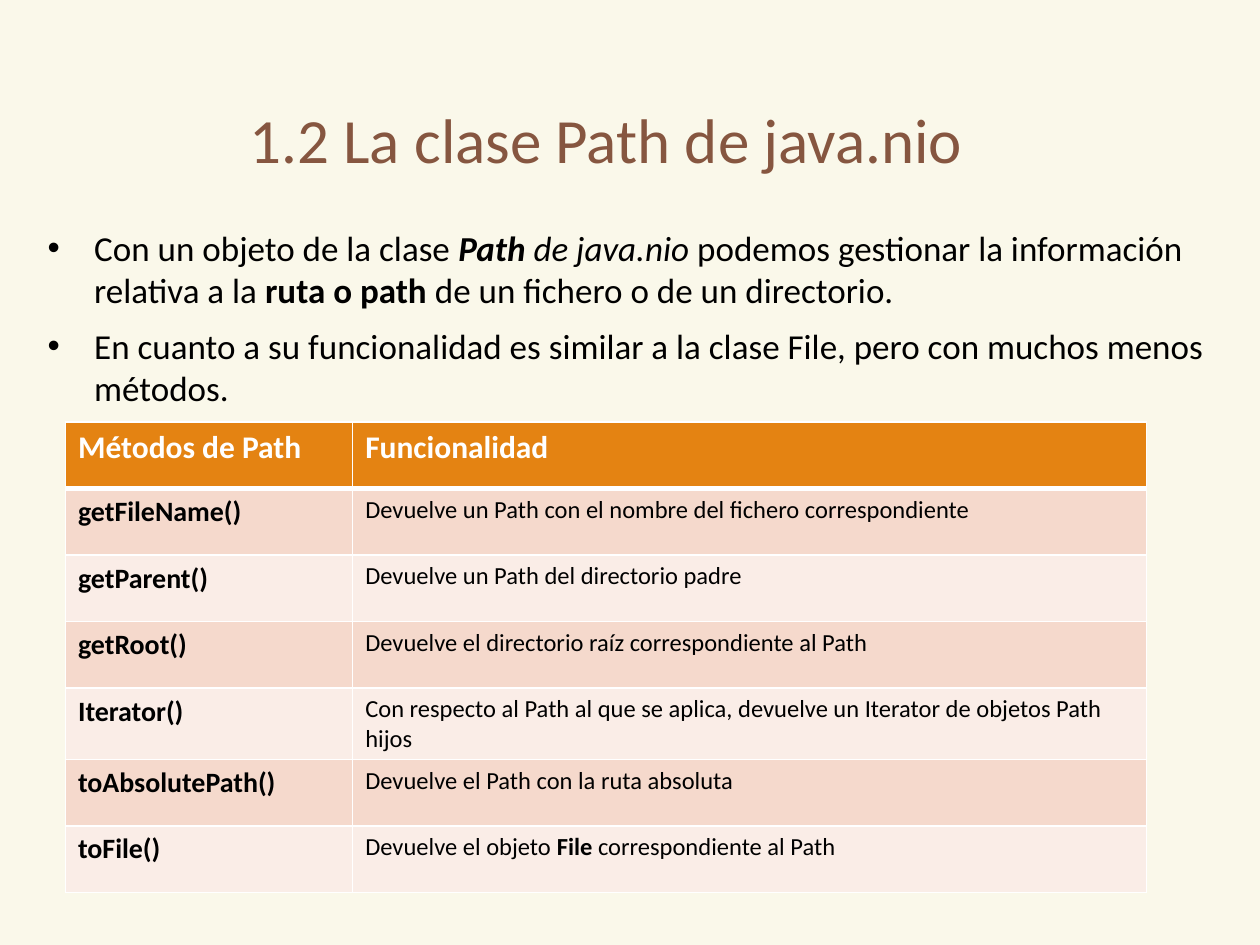
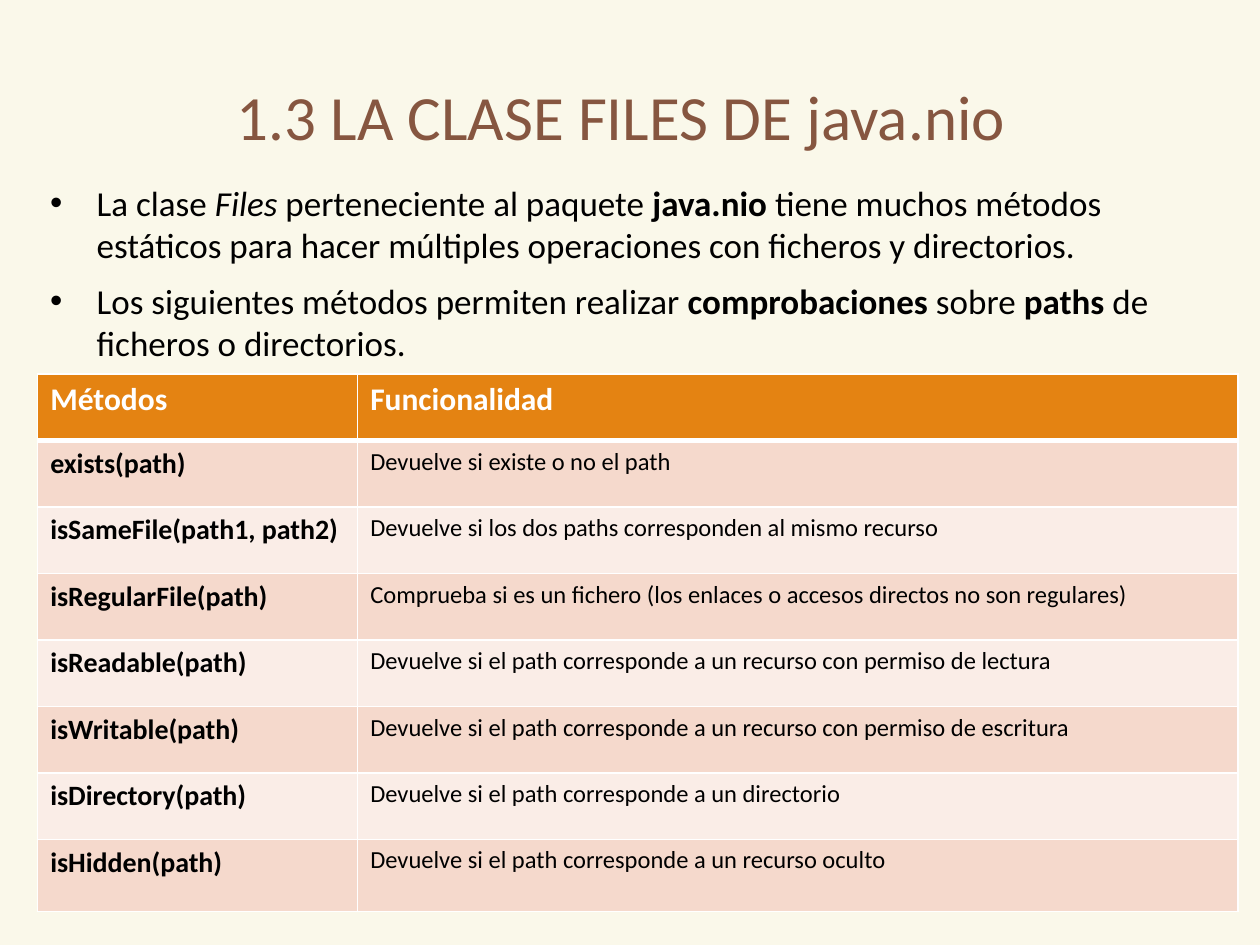
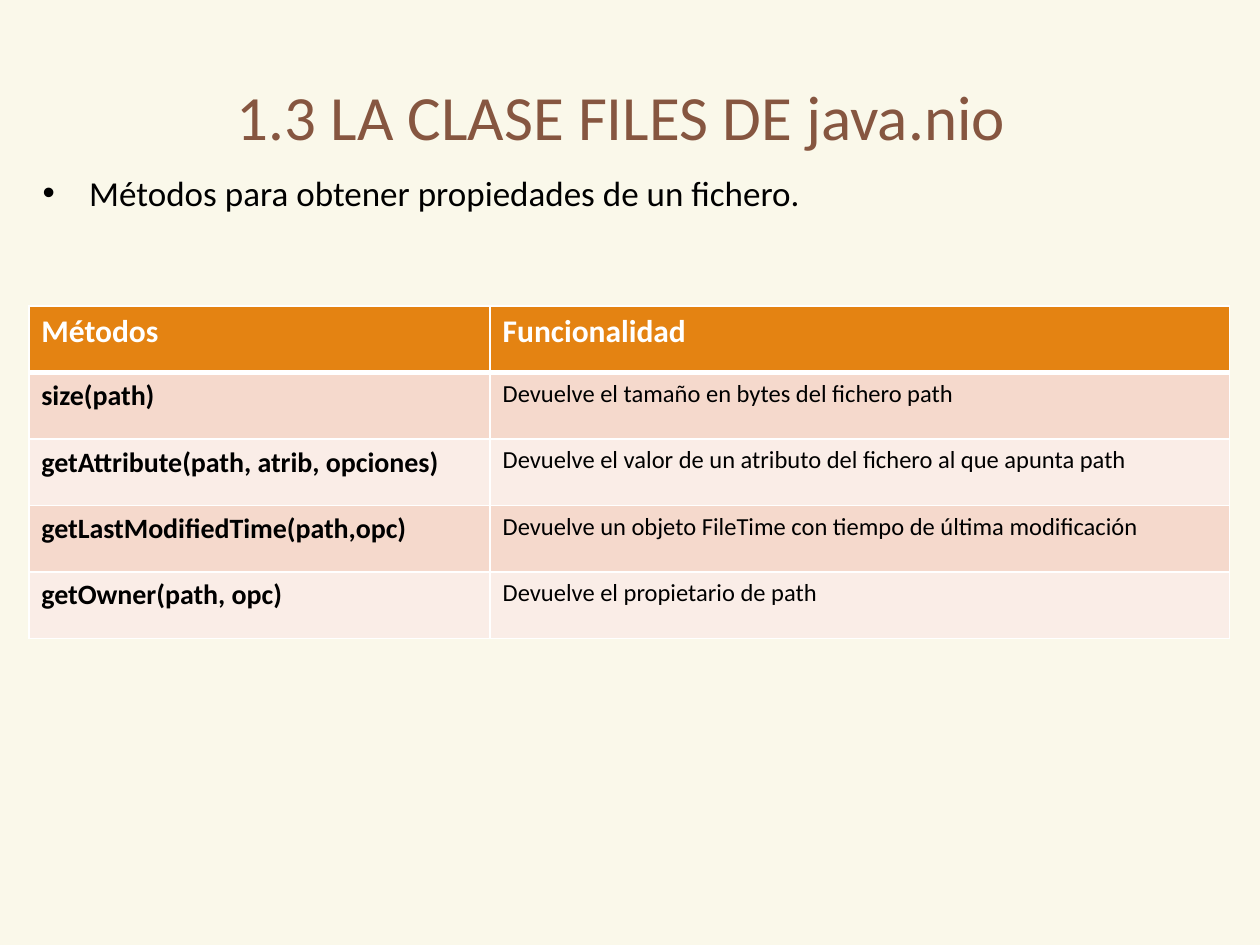
from dataclasses import dataclass

import pptx
import pptx.dml.color
import pptx.enum.text
import pptx.oxml
import pptx.oxml.ns
import pptx.util
from pptx.util import Cm


@dataclass(frozen=True)
class Theme:
    font: str = "Calibri"
    background: str = "FAF8EA"
    title: str = "865640"
    text: str = "000000"
    light: str = "FFFFFF"
    header: str = "E48312"
    bands: tuple = ("F5D9CC", "FAEDE7")
    title_size: int = 36
    body_size: int = 20
    header_size: int = 18
    method_size: int = 16
    detail_size: int = 14


def colour(code):
    return pptx.dml.color.RGBColor.from_string(code)


def add_element(parent, markup):
    namespace = pptx.oxml.ns.nsdecls("a")
    name, _, rest = markup.partition(" ")
    parent.append(pptx.oxml.parse_xml(f"<{name} {namespace} {rest}"))


class SlideBuilder:
    ROW_HEIGHT = 1.34

    def __init__(self, deck, theme):
        self.deck = deck
        self.theme = theme
        self.slide = None

    def new_slide(self):
        self.slide = self.deck.slides.add_slide(self.deck.slide_layouts[6])
        fill = self.slide.background.fill
        fill.solid()
        fill.fore_color.rgb = colour(self.theme.background)

    def add_spans(self, para, content, size, code, bold=False):
        """Fill a paragraph from a string or from (text, style) pairs, style holding b and i."""
        spans = [(content, "")] if isinstance(content, str) else content
        for text, style in spans:
            span = para.add_run()
            span.text = text
            span.font.name = self.theme.font
            span.font.size = pptx.util.Pt(size)
            span.font.color.rgb = colour(code)
            span.font.bold = bold or "b" in style
            span.font.italic = "i" in style

    def text_box(self, left, top, width, height):
        box = self.slide.shapes.add_textbox(Cm(left), Cm(top), Cm(width), Cm(height))
        box.text_frame.word_wrap = True
        return box.text_frame

    def title(self, text, left=1.09, top=0.58):
        frame = self.text_box(left, top, 22.86, 3.48)
        frame.vertical_anchor = pptx.enum.text.MSO_ANCHOR.MIDDLE
        para = frame.paragraphs[0]
        para.alignment = pptx.enum.text.PP_ALIGN.CENTER
        self.add_spans(para, text, self.theme.title_size, self.theme.title)

    def bullets(self, left, top, items):
        frame = self.text_box(left, top, 24.2, 14.02)
        for index, item in enumerate(items):
            para = frame.add_paragraph() if index else frame.paragraphs[0]
            properties = para._p.get_or_add_pPr()
            properties.set("marL", str(Cm(0.94)))
            properties.set("indent", str(-Cm(0.94)))
            add_element(properties, f'a:buClr ><a:srgbClr val="{self.theme.text}"/></a:buClr>')
            add_element(properties, 'a:buFont typeface="Arial"/>')
            add_element(properties, 'a:buChar char="•"/>')
            para.space_before = pptx.util.Pt(8 if index else 0)
            self.add_spans(para, item, self.theme.body_size, self.theme.text)

    def borders(self, cell, top, bottom):
        properties = cell._tc.get_or_add_tcPr()
        for side, points in (("L", 1), ("R", 1), ("T", top), ("B", bottom)):
            add_element(properties, f'a:ln{side} w="{pptx.util.Pt(points)}"><a:solidFill>'
                        f'<a:srgbClr val="{self.theme.light}"/></a:solidFill></a:ln{side}>')

    def method_table(self, left, top, widths, heading, methods, last_row=ROW_HEIGHT):
        theme = self.theme
        rows = [(heading, "Funcionalidad"), *methods]
        table = self.slide.shapes.add_table(
            len(rows), len(widths), Cm(left), Cm(top),
            Cm(sum(widths)), Cm(self.ROW_HEIGHT * len(rows))).table
        table.first_row = table.horz_banding = False
        for column, width in zip(table.columns, widths):
            column.width = Cm(width)
        for index, contents in enumerate(rows):
            is_header = index == 0
            is_last = index == len(rows) - 1
            table.rows[index].height = Cm(last_row if is_last else self.ROW_HEIGHT)
            band = theme.header if is_header else theme.bands[(index - 1) % 2]
            sizes = ((theme.header_size,) * 2 if is_header
                     else (theme.method_size, theme.detail_size))
            for position, content in enumerate(contents):
                cell = table.cell(index, position)
                self.borders(cell, top=3 if index == 1 else 1, bottom=3 if is_header else 1)
                cell.fill.solid()
                cell.fill.fore_color.rgb = colour(band)
                self.add_spans(cell.text_frame.paragraphs[0], content, sizes[position],
                               theme.light if is_header else theme.text,
                               bold=is_header or position == 0)


def path_slide(builder):
    builder.new_slide()
    builder.title("1.2 La clase Path de java.nio", left=0.79, top=1.04)
    builder.bullets(0.71, 4.45, [
        [("Con un objeto de la clase ", ""), ("Path", "bi"), (" de java.nio ", "i"),
         ("podemos gestionar la información relativa a la ", ""),
         ("ruta o path ", "b"), ("de un fichero o de un directorio.", "")],
        "En cuanto a su funcionalidad es similar a la clase File, "
        "pero con muchos menos métodos.",
    ])
    builder.method_table(1.32, 8.51, (5.79, 16), "Métodos de Path", [
        ("getFileName()", "Devuelve un Path con el nombre del fichero correspondiente"),
        ("getParent()", "Devuelve un Path del directorio padre"),
        ("getRoot()", "Devuelve el directorio raíz correspondiente al Path"),
        ("Iterator()", "Con respecto al Path al que se aplica, "
                       "devuelve un Iterator de objetos Path hijos"),
        ("toAbsolutePath()", "Devuelve el Path con la ruta absoluta"),
        ("toFile()", [("Devuelve el objeto ", ""), ("File ", "b"),
                      ("correspondiente al Path", "")]),
    ])


FILES_TITLE = "1.3 LA CLASE FILES DE java.nio"


def files_checks_slide(builder):
    builder.new_slide()
    builder.title(FILES_TITLE)
    builder.bullets(0.76, 3.53, [
        [("La clase ", ""), ("Files", "i"), (" perteneciente al paquete ", ""),
         ("java.nio ", "b"),
         ("tiene muchos métodos estáticos para hacer múltiples operaciones "
          "con ficheros y directorios.", "")],
        [("Los siguientes métodos permiten realizar ", ""), ("comprobaciones", "b"),
         (" sobre ", ""), ("paths ", "b"), ("de ficheros o directorios.", "")],
    ])
    recurso = "Devuelve si el path corresponde a un recurso"
    builder.method_table(0.76, 7.54, (6.45, 17.75), "Métodos", [
        ("exists(path)", "Devuelve si existe o no el path"),
        ("isSameFile(path1, path2)", "Devuelve si los dos paths corresponden al mismo recurso"),
        ("isRegularFile(path)", "Comprueba si es un fichero "
                                "(los enlaces o accesos directos no son regulares)"),
        ("isReadable(path)", f"{recurso} con permiso de lectura"),
        ("isWritable(path)", f"{recurso} con permiso de escritura"),
        ("isDirectory(path)", "Devuelve si el path corresponde a un directorio"),
        ("isHidden(path)", f"{recurso} oculto"),
    ], last_row=1.45)


def files_properties_slide(builder):
    builder.new_slide()
    builder.title(FILES_TITLE)
    builder.bullets(0.61, 3.33, ["Métodos para obtener propiedades de un fichero."])
    builder.method_table(0.58, 6.17, (9.3, 14.91), "Métodos", [
        ("size(path)", "Devuelve el tamaño en bytes del fichero path"),
        ("getAttribute(path, atrib, opciones)",
         "Devuelve el valor de un atributo del fichero al que apunta path"),
        ("getLastModifiedTime(path,opc)",
         "Devuelve un objeto FileTime con tiempo de última modificación"),
        ("getOwner(path, opc)", "Devuelve el propietario de path"),
    ])


def main():
    deck = pptx.Presentation()
    deck.slide_width, deck.slide_height = Cm(25.4), Cm(19.05)
    builder = SlideBuilder(deck, Theme())
    path_slide(builder)
    files_checks_slide(builder)
    files_properties_slide(builder)
    deck.save("out.pptx")


if __name__ == "__main__":
    main()
